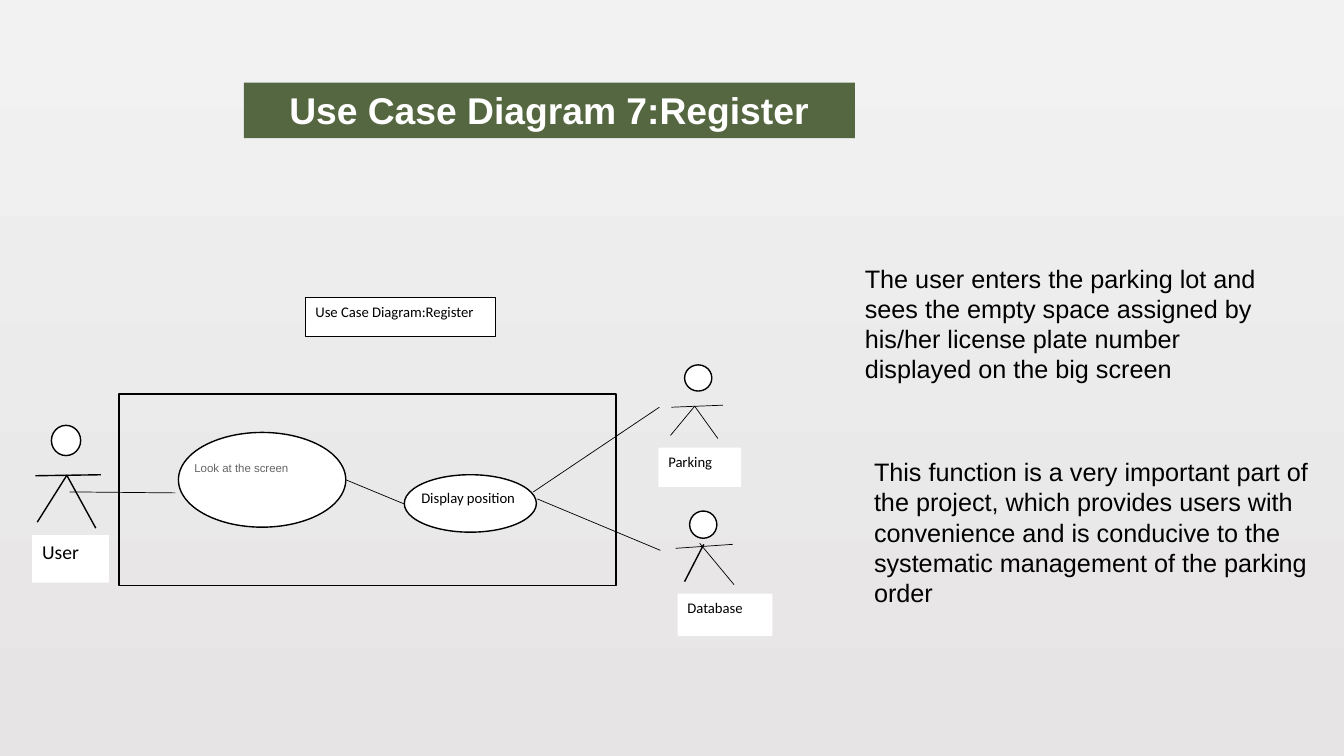
"""Build the use case diagram slide for registering at the parking lot."""
import pptx
import pptx.util
import pptx.dml.color
import pptx.enum.shapes
import pptx.enum.text
import pptx.oxml.ns
import lxml.etree

EMU_PER_PX = 9144
SLIDE_SIZE = (1333, 750)
COLORS = {"top": "F2F2F2", "bottom": "E6E4E4", "banner": "556740",
          "white": "FFFFFF", "black": "000000", "grey": "666666"}
THIN, THICK = 0.5, 1

TITLE = ("Use Case Diagram 7:Register", (242, 82, 606, 55))
CAPTION = ("Use Case Diagram:Register", (303, 295, 188, 39))
SYSTEM_BOUNDARY = (118, 391, 493, 190)
ACTORS = [
    {"label": ("User", (32, 531, 76, 47), 14), "head": (51, 422, 29, 30),
     "limbs": [(35, 472, 100, 471, THICK), (66, 471, 95, 524, THICK), (66, 472, 37, 518, THICK)]},
    {"label": ("Parking", (653, 444, 82, 39), 10.5), "head": (679, 362, 27, 26),
     "limbs": [(666, 404, 717, 402, THIN), (689, 403, 712, 435, THIN), (665, 432, 689, 403, THIN)]},
    {"label": ("Database", (672, 589, 94, 42), 10.5), "head": (684, 507, 27, 27),
     "limbs": [(670, 544, 727, 540, THIN), (694, 539, 728, 580, THIN), (698, 540, 679, 577, THICK)]},
]
USE_CASES = [
    ((177, 429, 166, 94), "Look at the screen", (183, 452, 163, 47), 8.2, "Arial", "grey"),
    ((401, 471, 131, 57), "Display position", (408, 480, 119, 48), 10.5, "Calibri", "black"),
]
ASSOCIATIONS = [(69, 488, 174, 489), (343, 476, 401, 500),
                (533, 495, 655, 546), (529, 488, 654, 404)]
NOTES = [
    ("The user enters the parking lot and sees the empty space assigned by his/her "
     "license plate number displayed on the big screen", (848, 256, 420, 131)),
    ("This function is a very important part of the project, which provides users with "
     "convenience and is conducive to the systematic management of the parking order",
     (857, 448, 451, 161)),
]


def px(*lengths):
    return [pptx.util.Emu(length * EMU_PER_PX) for length in lengths]


def rgb(name):
    return pptx.dml.color.RGBColor.from_string(COLORS[name])


def paint_line(line, width):
    line.color.rgb = rgb("black")
    line.width = pptx.util.Pt(width)


def write(shape, text, size, font="Calibri", color="black", bold=False, centered=False):
    frame = shape.text_frame
    frame.word_wrap = True
    frame.vertical_anchor = pptx.enum.text.MSO_ANCHOR.TOP
    frame.text = text
    paragraph = frame.paragraphs[0]
    alignment = pptx.enum.text.PP_ALIGN
    paragraph.alignment = alignment.CENTER if centered else alignment.LEFT
    run_font = paragraph.runs[0].font
    run_font.name, run_font.size, run_font.bold = font, pptx.util.Pt(size), bold
    run_font.color.rgb = rgb(color)


def add_box(slide, box, kind="RECTANGLE", fill="white", width=None):
    shape = slide.shapes.add_shape(pptx.enum.shapes.MSO_SHAPE[kind], *px(*box))
    shape.shadow.inherit = False
    if fill:
        shape.fill.solid()
        shape.fill.fore_color.rgb = rgb(fill)
    else:
        shape.fill.background()
    if width:
        paint_line(shape.line, width)
    else:
        shape.line.fill.background()
    return shape


def add_line(slide, ends, width):
    connector = slide.shapes.add_connector(pptx.enum.shapes.MSO_CONNECTOR.STRAIGHT, *px(*ends))
    paint_line(connector.line, width)
    properties = connector._element.spPr
    lxml.etree.SubElement(properties, pptx.oxml.ns.qn("a:effectLst"))


def add_text(slide, box, *style):
    write(slide.shapes.add_textbox(*px(*box)), *style)


def add_actor(slide, actor):
    label, box, size = actor["label"]
    write(add_box(slide, box), label, size)
    add_box(slide, actor["head"], "OVAL", width=THICK)
    for *ends, width in actor["limbs"]:
        add_line(slide, ends, width)


def paint_background(slide):
    fill = slide.background.fill
    fill.gradient()
    fill.gradient_angle = 270
    for stop, name in zip(fill.gradient_stops, ("top", "bottom")):
        stop.color.rgb = rgb(name)


def main():
    presentation = pptx.Presentation()
    presentation.slide_width, presentation.slide_height = px(*SLIDE_SIZE)
    slide = presentation.slides.add_slide(presentation.slide_layouts[6])
    paint_background(slide)

    title, box = TITLE
    write(add_box(slide, box, fill="banner"), title, 26.6, "Arial", "white", True, True)
    caption, box = CAPTION
    write(add_box(slide, box, width=THIN), caption, 10.5)
    add_box(slide, SYSTEM_BOUNDARY, fill=None, width=THICK)
    for actor in ACTORS:
        add_actor(slide, actor)
    for oval, text, box, size, font, color in USE_CASES:
        add_box(slide, oval, "OVAL", width=THICK)
        add_text(slide, box, text, size, font, color)
    for ends in ASSOCIATIONS:
        add_line(slide, ends, THIN)
    for text, box in NOTES:
        add_text(slide, box, text, 18, "Arial")

    presentation.save("out.pptx")


if __name__ == "__main__":
    main()
